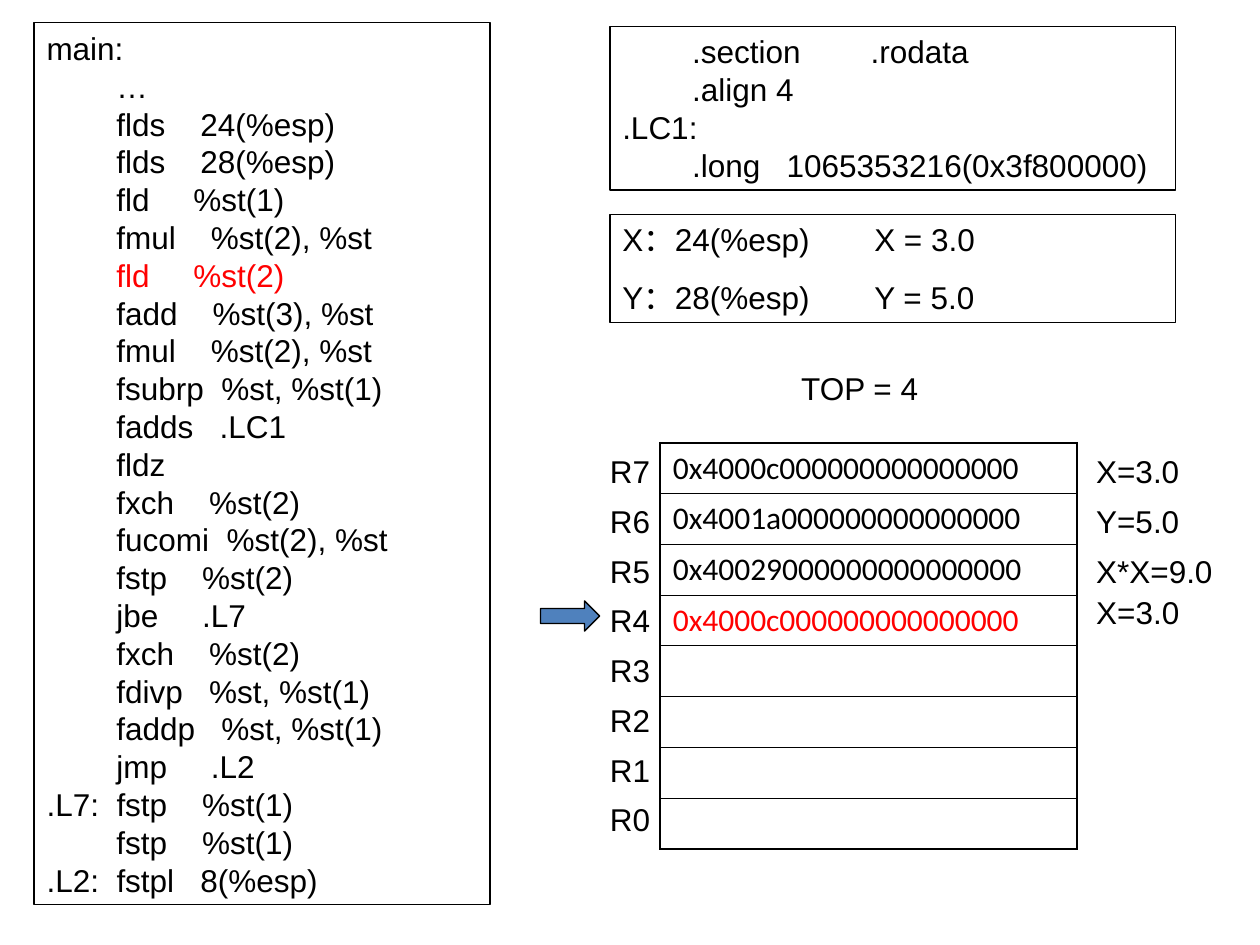
import pptx
import pptx.dml.color
import pptx.enum.shapes
import pptx.enum.text
import pptx.util
from lxml import etree
from pptx.oxml.ns import qn

Pt = pptx.util.Pt
COLORS = {"text": "000000", "current": "FF0000", "arrow": "4F81BD"}

CODE = """main:
        …
        flds    24(%esp)
        flds    28(%esp)
        fld     %st(1)
        fmul    %st(2), %st
        fld     %st(2)
        fadd    %st(3), %st
        fmul    %st(2), %st
        fsubrp  %st, %st(1)
        fadds   .LC1
        fldz
        fxch    %st(2)
        fucomi  %st(2), %st
        fstp    %st(2)
        jbe     .L7
        fxch    %st(2)
        fdivp   %st, %st(1)
        faddp   %st, %st(1)
        jmp     .L2
.L7:  fstp    %st(1)
        fstp    %st(1)
.L2:  fstpl   8(%esp)"""
CURRENT_LINE = 6

DATA_SECTION = """        .section        .rodata
        .align 4
.LC1:
        .long   1065353216(0x3f800000)"""

VARIABLES = "X：24(%esp)\tX = 3.0\nY：28(%esp)\tY = 5.0"

REGISTERS = ["0x4000c000000000000000", "0x4001a000000000000000",
             "0x40029000000000000000", "0x4000c000000000000000", "", "", "", ""]
CURRENT_REGISTER = 3


class SlideBuilder:
    size = 18
    font = "Arial"
    table_font = "Calibri"
    line_width = 0.75
    margins = (7.2, 3.6)

    def __init__(self, slide):
        self.slide = slide

    def color(self, name):
        return pptx.dml.color.RGBColor.from_string(COLORS[name])

    def format_runs(self, paragraph, font, color="text"):
        for run in paragraph.runs:
            run.font.size = Pt(self.size)
            run.font.name = font
            run.font.color.rgb = self.color(color)

    def fill_text(self, shape, text, margins, current=None, wrap=True):
        """Write top-left text into a shape; the current paragraph is highlighted."""
        frame = shape.text_frame
        frame.text = text
        frame.word_wrap = wrap
        frame.auto_size = pptx.enum.text.MSO_AUTO_SIZE.SHAPE_TO_FIT_TEXT
        frame.vertical_anchor = pptx.enum.text.MSO_ANCHOR.TOP
        frame.margin_left = frame.margin_right = Pt(margins[0])
        frame.margin_top = frame.margin_bottom = Pt(margins[1])
        for index, paragraph in enumerate(frame.paragraphs):
            paragraph.alignment = pptx.enum.text.PP_ALIGN.LEFT
            self.format_runs(paragraph, self.font, "current" if index == current else "text")

    def shape(self, kind, left, top, width, height, fill=None):
        shape = self.slide.shapes.add_shape(kind, Pt(left), Pt(top), Pt(width), Pt(height))
        shape.shadow.inherit = False
        if fill:
            shape.fill.solid()
            shape.fill.fore_color.rgb = self.color(fill)
        else:
            shape.fill.background()
        shape.line.color.rgb = self.color("text")
        shape.line.width = Pt(self.line_width)
        return shape

    def box(self, text, left, top, width, height, current=None):
        shape = self.shape(pptx.enum.shapes.MSO_SHAPE.RECTANGLE, left, top, width, height)
        self.fill_text(shape, text, self.margins, current)
        return shape

    def label(self, text, left, top, width, height=21.6, margins=(0, 0)):
        shape = self.slide.shapes.add_textbox(Pt(left), Pt(top), Pt(width), Pt(height))
        self.fill_text(shape, text, margins, wrap=False)

    def border(self, cell, side, width):
        line = etree.SubElement(cell._tc.get_or_add_tcPr(), qn(f"a:ln{side}"), w=str(Pt(width)))
        fill = etree.SubElement(line, qn("a:solidFill"))
        etree.SubElement(fill, qn("a:srgbClr"), val=COLORS["text"])

    def register_table(self, values, left, top, width, row_height, current):
        shape = self.slide.shapes.add_table(
            len(values), 1, Pt(left), Pt(top), Pt(width), Pt(row_height * len(values)))
        table = shape.table
        table.first_row = table.horz_banding = False
        outer, inner = 1.08, 0.45
        for index, value in enumerate(values):
            cell = table.cell(index, 0)
            cell.text = value
            self.format_runs(cell.text_frame.paragraphs[0], self.table_font,
                             "current" if index == current else "text")
            self.border(cell, "L", outer)
            self.border(cell, "R", outer)
            self.border(cell, "T", outer if index == 0 else inner)
            self.border(cell, "B", outer if index == len(values) - 1 else inner)
            cell.fill.background()


def set_tab(paragraph, position):
    tabs = etree.SubElement(paragraph._p.get_or_add_pPr(), qn("a:tabLst"))
    etree.SubElement(tabs, qn("a:tab"), pos=str(Pt(position)), algn="l")


def main():
    presentation = pptx.Presentation()
    presentation.slide_width = Pt(720)
    presentation.slide_height = Pt(540)
    blank_layout = presentation.slide_layouts[6]
    builder = SlideBuilder(presentation.slides.add_slide(blank_layout))

    builder.box(CODE, 19.5, 13, 260.6, 504, CURRENT_LINE)
    builder.box(DATA_SECTION, 348.5, 15, 323.3, 93.6)
    variables = builder.box(VARIABLES, 348.5, 122.4, 323.3, 61.9)
    for index, paragraph in enumerate(variables.text_frame.paragraphs):
        paragraph.space_before = Pt(11.2 if index else 0)
        set_tab(paragraph, 144)

    builder.label("TOP = 4", 450.7, 207.4, 85, 28.8, builder.margins)
    builder.register_table(REGISTERS, 377.3, 253, 238.3, 29, CURRENT_REGISTER)

    label_top, label_pitch = 258.5, 28.4
    for index in range(len(REGISTERS)):
        name = f"R{len(REGISTERS) - 1 - index}"
        builder.label(name, 348.5, label_top + index * label_pitch, 28.1)
    for index, meaning in enumerate(["X=3.0", "Y=5.0", "X*X=9.0"]):
        builder.label(meaning, 626.4, label_top + index * label_pitch, 67.7)
    builder.label("X=3.0", 626.4, 339.1, 56.9)

    builder.shape(pptx.enum.shapes.MSO_SHAPE.RIGHT_ARROW, 308.9, 343.4, 33.8, 17.3, "arrow")

    presentation.save("out.pptx")


if __name__ == "__main__":
    main()
